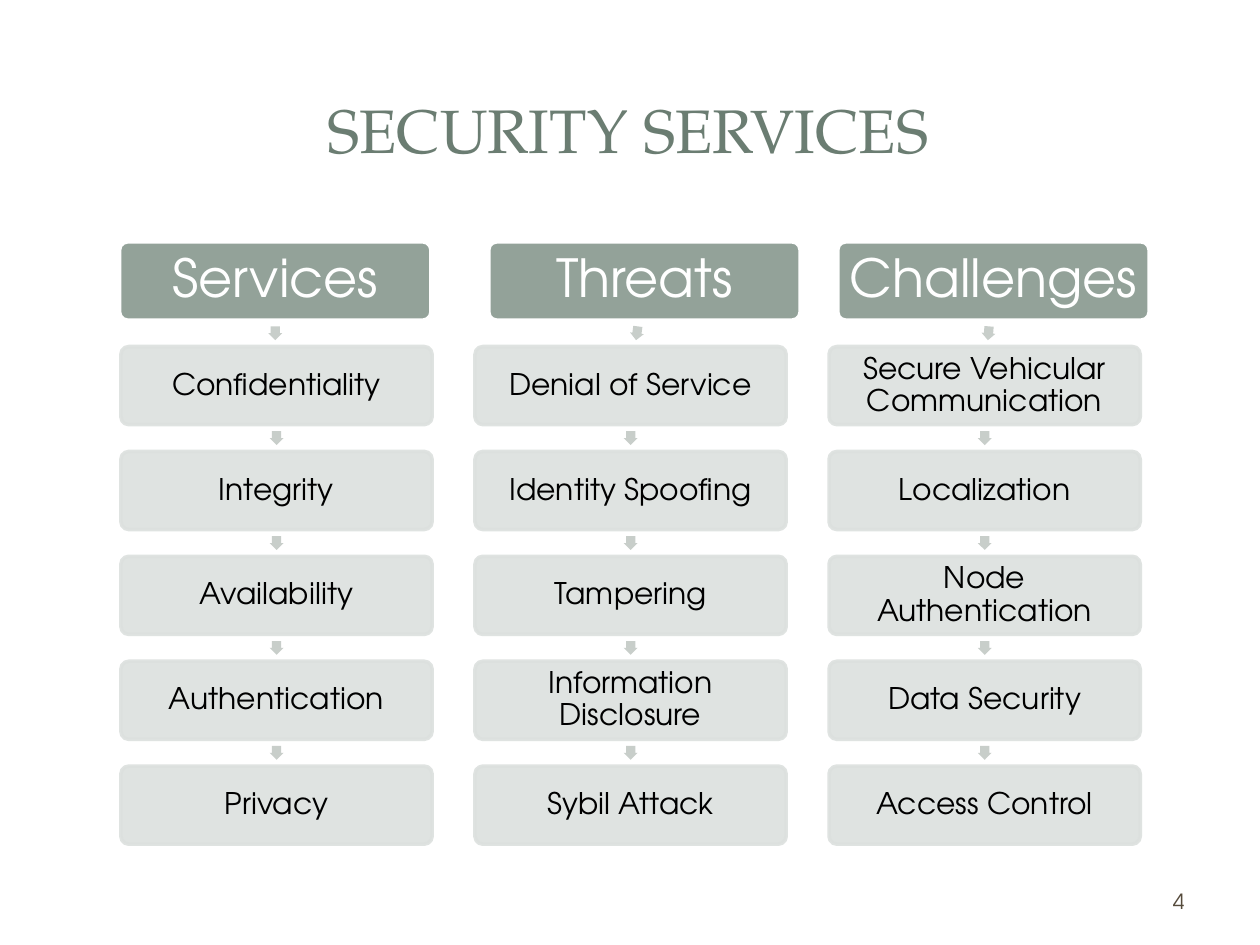
from lxml.etree import SubElement
from pptx import Presentation
from pptx.dml.color import RGBColor
from pptx.enum.shapes import MSO_SHAPE
from pptx.enum.text import MSO_ANCHOR, PP_ALIGN
from pptx.oxml.ns import qn
from pptx.util import Inches, Pt

COLORS = {"title": "6B7D72", "header": "93A299", "item": "DCE0DE", "arrow": "C8CECA",
          "white": "FFFFFF", "black": "000000", "number": "564B3C"}
SANS, SERIF = "TeX Gyre Adventor", "TeX Gyre Pagella"
COLUMNS = [
    {"header": "Services", "header_x": 0.95, "arrow_x": 2.13, "angle": 89.8,
     "items": ["Confidentiality", "Integrity", "Availability", "Authentication", "Privacy"]},
    {"header": "Threats", "header_x": 3.88, "arrow_x": 5.0, "angle": 97.4,
     "items": ["Denial of Service", "Identity Spoofing", "Tampering",
               "Information Disclosure", "Sybil Attack"]},
    {"header": "Challenges", "header_x": 6.65, "arrow_x": 7.79, "angle": 94.8,
     "items": ["Secure Vehicular Communication", "Localization", "Node Authentication",
               "Data Security", "Access Control"]},
]
BOX_W, BOX_H, ARROW = 2.47, 0.62, 0.11
LEFT, COL_STEP = 0.96, 2.81
TOP, ROW_STEP = 2.75, (6.08 - 2.75) / 4


def set_text(sp, text, size, color, font=SANS, align=PP_ALIGN.CENTER, inset=None, spacing=None):
    tf = sp.text_frame
    tf.word_wrap = True
    tf.vertical_anchor = MSO_ANCHOR.MIDDLE
    if inset is not None:
        for side in ("left", "top", "right", "bottom"):
            setattr(tf, f"margin_{side}", Inches(inset))
    p = tf.paragraphs[0]
    p.alignment = align
    p.line_spacing = spacing
    r = p.add_run()
    r.text = text
    for name, value in {"size": Pt(size), "name": font, "bold": False}.items():
        setattr(r.font, name, value)
    r.font.color.rgb = RGBColor.from_string(COLORS[color])


def add_shape(kind, x, y, w, h, fill, line=None, alpha=None):
    sp = s.shapes.add_shape(kind, Inches(x), Inches(y), Inches(w), Inches(h))
    sp.shadow.inherit = False
    sp.fill.solid()
    sp.fill.fore_color.rgb = RGBColor.from_string(COLORS[fill])
    if line:
        sp.line.color.rgb = RGBColor.from_string(COLORS[line])
        sp.line.width = Pt(2)
    else:
        sp.line.fill.background()
    if alpha:
        for color in sp.element.spPr.iter(qn("a:srgbClr")):
            SubElement(color, qn("a:alpha"), val=str(alpha * 1000))
    return sp


prs = Presentation()
prs.slide_width, prs.slide_height = Inches(10), Inches(7.5)
s = prs.slides.add_slide(prs.slide_layouts[5])

title = s.shapes.title
for name, value in {"left": 0.47, "top": 0.45, "width": 9.03, "height": 1.14}.items():
    setattr(title, name, Inches(value))
set_text(title, "SECURITY SERVICES", 35, "title", font=SERIF)

for col, column in enumerate(COLUMNS):
    x = LEFT + col * COL_STEP
    sp = add_shape(MSO_SHAPE.ROUNDED_RECTANGLE, column["header_x"], 1.92, BOX_W, BOX_H,
                   "header", "white")
    sp.adjustments[0] = 0.1
    set_text(sp, column["header"], 30, "white", inset=0.04, spacing=0.9)

    for row, item in enumerate(column["items"]):
        y = TOP + row * ROW_STEP
        arrow_x = x + (BOX_W - ARROW) / 2 if row else column["arrow_x"]
        arrow = add_shape(MSO_SHAPE.RIGHT_ARROW, arrow_x, y - 0.16, ARROW, ARROW, "arrow")
        arrow.adjustments[0] = 0.67
        arrow.rotation = 90 if row else column["angle"]

        sp = add_shape(MSO_SHAPE.ROUNDED_RECTANGLE, x, y, BOX_W, BOX_H, "item", "item", alpha=90)
        sp.adjustments[0] = 0.1
        set_text(sp, item, 17, "black", inset=0.02, spacing=0.9)

number = s.shapes.add_textbox(Inches(7.17), Inches(6.95), Inches(2.33), Inches(0.4))
set_text(number, "4", 12, "number", align=PP_ALIGN.RIGHT)

prs.save("out.pptx")
